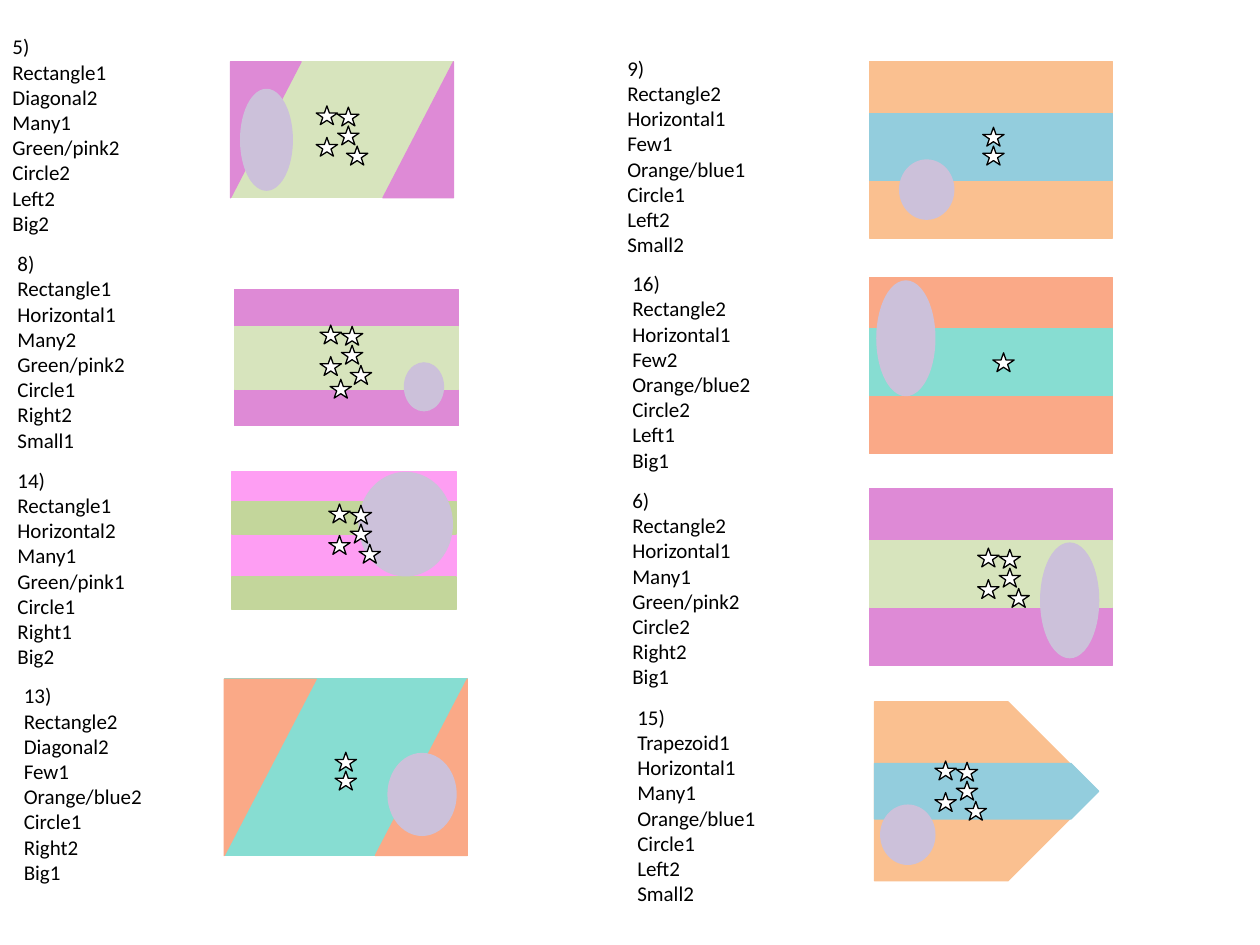
from dataclasses import dataclass

from pptx import Presentation
from pptx import util as u
from pptx.dml import color
from pptx.enum import shapes, text

COLORS = {
    "sage": "D7E4BD", "green": "C3D69B", "orchid": "DE8AD6", "pink": "FE9EF3",
    "orange": "FAC090", "salmon": "FAA987", "blue": "93CDDD", "teal": "87DDD2",
    "lilac": "CCC1DA", "white": "FFFFFF", "black": "000000",
}
KIND = shapes.MSO_SHAPE
LABEL_SIZE = (1.21, 1.72)
STAR_SIZE = (0.17, 0.15)
# Star offsets from the first star of each cluster
PAIR = [(0, 0), (0, 0.15)]
FIVE = [(0, 0), (0.17, 0.16), (0.17, 0.01), (0, 0.25), (0.24, 0.32)]
CLUSTERS = {1: PAIR[:1], 2: PAIR, 5: FIVE, 6: FIVE + [(0.08, 0.43)]}


@dataclass
class Patch:
    color: str
    left: float
    top: float
    width: float
    height: float
    kind: int = KIND.RECTANGLE
    flipped: bool = False
    rotation: int = 0


@dataclass
class Flag:
    label_at: tuple[float, float]
    label: str  # paragraphs separated by "|"
    patches: list[Patch]
    circle: tuple[float, float, float, float]
    star_count: int
    stars_at: tuple[float, float]


def striped(base: str, band: str, left: float, top: float, width: float,
            height: float, bands: list[tuple[float, float]]) -> list[Patch]:
    """A field crossed by bands, each given as offset and height."""
    return [Patch(base, left, top, width, height)] + [
        Patch(band, left, top + offset, width, depth) for offset, depth in bands]


def diagonal(base: str, corner: str, left: float, top: float, width: float,
             height: float, corner_width: float) -> list[Patch]:
    """A field with triangles in its top left and bottom right corners."""
    right = left + width - corner_width
    return [
        Patch(base, left, top, width, height),
        Patch(corner, right, top, corner_width, height, KIND.RIGHT_TRIANGLE, True),
        Patch(corner, left, top, corner_width, height, KIND.RIGHT_TRIANGLE, True, 180),
    ]


def large(base: str, band: str, top: float) -> list[Patch]:
    """The wide three-stripe flag of the right column."""
    return striped(base, band, 6.9, top, 1.93, 1.4, [(0.41, 0.53)])


FLAGS = [
    # Left column
    Flag((0, 0.22), "5)|Rectangle1 Diagonal2 Many1|Green/pink2 Circle2|Left2|Big2",
         diagonal("sage", "orchid", 1.83, 0.49, 1.77, 1.08, 0.56),
         (1.91, 0.71, 0.41, 0.8), 5, (2.51, 0.84)),
    Flag((0.04, 1.94), "8)|Rectangle1 Horizontal1 Many2|Green/pink2 Circle1|Right2|Small1",
         striped("orchid", "sage", 1.86, 2.3, 1.78, 1.08, [(0.29, 0.5)]),
         (3.21, 2.88, 0.31, 0.38), 6, (2.54, 2.58)),
    Flag((0.04, 3.66), "14)|Rectangle1 Horizontal2 Many1|Green/pink1 Circle1|Right1|Big2",
         striped("pink", "green", 1.84, 3.74, 1.78, 1.08, [(0.24, 0.26), (0.84, 0.26)]),
         (2.85, 3.75, 0.74, 0.82), 5, (2.61, 4)),
    Flag((0.09, 5.37), "13)|Rectangle2 Diagonal2 Few1|Orange/blue2 Circle1|Right2|Big1",
         diagonal("teal", "salmon", 1.78, 5.39, 1.93, 1.4, 0.73),
         (3.08, 5.98, 0.54, 0.65), 2, (2.66, 5.97)),
    # Right column
    Flag((4.88, 0.39), "9)|Rectangle2 Horizontal1 Few1|Orange/blue1 Circle1|Left2|Small2",
         large("orange", "blue", 0.49), (7.14, 1.27, 0.43, 0.47), 2, (7.8, 1.01)),
    Flag((4.92, 2.1), "16)|Rectangle2 Horizontal1 Few2|Orange/blue2 Circle2|Left1|Big1",
         large("salmon", "teal", 2.2), (6.96, 2.23, 0.46, 0.91), 1, (7.88, 2.8)),
    Flag((4.92, 3.82), "6)|Rectangle2 Horizontal1 Many1|Green/pink2 Circle2|Right2|Big1",
         large("orchid", "sage", 3.88), (8.26, 4.31, 0.46, 0.91), 5, (7.76, 4.35)),
    Flag((4.96, 5.54), "15)|Trapezoid1 Horizontal1 Many1 Orange/blue1 Circle1|Left2|Small2",
         [Patch("orange", 6.94, 5.57, 1.77, 1.42, KIND.PENTAGON),
          Patch("blue", 6.94, 6.06, 1.78, 0.44, KIND.PENTAGON)],
         (6.99, 6.39, 0.43, 0.47), 5, (7.42, 6.04)),
]


def rgb(name: str) -> color.RGBColor:
    return color.RGBColor.from_string(COLORS[name])


def draw_patch(tree, patch: Patch, line: str = "") -> None:
    box = (u.Inches(n) for n in (patch.left, patch.top, patch.width, patch.height))
    shape = tree.add_shape(patch.kind, *box)
    shape.shadow.inherit = False
    shape.fill.solid()
    shape.fill.fore_color.rgb = rgb(patch.color)
    shape.line.color.rgb = rgb(line or patch.color)
    shape.line.width = u.Pt(0.75)
    shape.rotation = patch.rotation
    if patch.flipped:
        shape._element.spPr.xfrm.set("flipH", "1")


def draw_label(page, flag: Flag) -> None:
    box = page.shapes.add_textbox(*(u.Inches(n) for n in flag.label_at + LABEL_SIZE))
    frame = box.text_frame
    frame.text = flag.label.replace("|", "\n")
    frame.word_wrap = True
    frame.auto_size = text.MSO_AUTO_SIZE.SHAPE_TO_FIT_TEXT
    for para in frame.paragraphs:
        for span in para.runs:
            span.font.name = "Calibri"
            span.font.size = u.Pt(12)
            span.font.color.rgb = rgb("black")


def draw_stars(page, flag: Flag) -> None:
    left, top = flag.stars_at
    offsets = CLUSTERS[flag.star_count]
    tree = page.shapes.add_group_shape().shapes if len(offsets) > 1 else page.shapes
    for right, down in offsets:
        star = Patch("white", left + right, top + down, *STAR_SIZE, KIND.STAR_5_POINT)
        draw_patch(tree, star, "black")


def draw_flag(page, flag: Flag) -> None:
    draw_label(page, flag)
    for patch in flag.patches:
        draw_patch(page.shapes, patch)
    draw_patch(page.shapes, Patch("lilac", *flag.circle, KIND.OVAL))
    draw_stars(page, flag)


deck = Presentation()
deck.slide_width, deck.slide_height = u.Inches(10), u.Inches(7.5)
page = deck.slides.add_slide(deck.slide_layouts[6])
for flag in FLAGS:
    draw_flag(page, flag)
deck.save("out.pptx")
